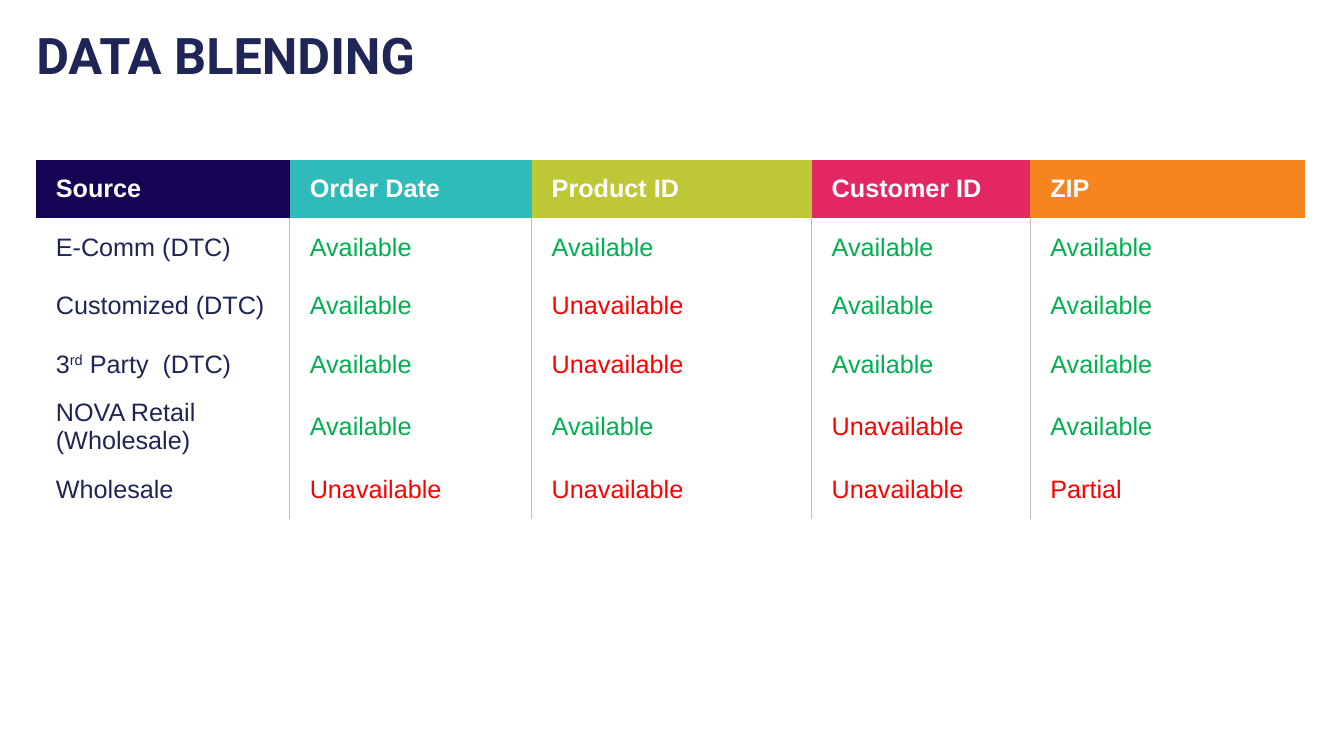
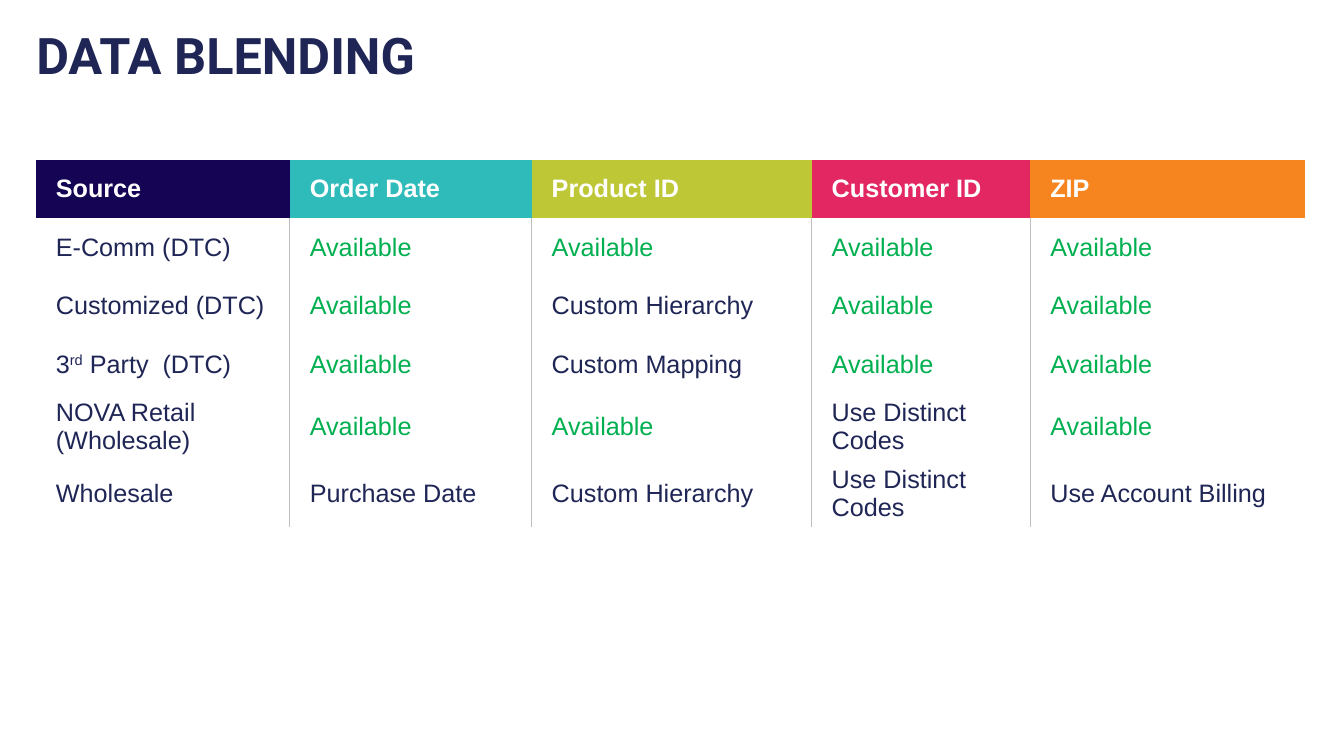
from lxml import etree
from pptx import Presentation
from pptx.dml.color import RGBColor
from pptx.enum.text import MSO_ANCHOR, MSO_AUTO_SIZE, PP_ALIGN
from pptx.oxml.ns import qn
from pptx.util import Pt

MIDDLE = MSO_ANCHOR.MIDDLE
LEFT = PP_ALIGN.LEFT
NO_AUTOFIT = MSO_AUTO_SIZE.NONE

TITLE_INK = RGBColor(0x1F, 0x25, 0x55)
INK = RGBColor(0x1F, 0x26, 0x56)
WHITE = RGBColor(0xFF, 0xFF, 0xFF)
NAVY = RGBColor(0x15, 0x04, 0x54)
TEAL = RGBColor(0x2E, 0xBB, 0xBA)
LIME = RGBColor(0xBE, 0xC7, 0x36)
PINK = RGBColor(0xE3, 0x27, 0x63)
ORANGE = RGBColor(0xF6, 0x85, 0x20)
GREEN = RGBColor(0x00, 0xB0, 0x50)
RED = RGBColor(0xFF, 0x00, 0x00)
RULE_GREY = RGBColor(0xBF, 0xBF, 0xBF)

STATUS_COLOURS = {"Available": GREEN, "Unavailable": RED, "Partial": RED}

# Heading, band colour, width in points
COLUMNS = [
    ("Source", NAVY, 181.4),
    ("Order Date", TEAL, 172.8),
    ("Product ID", LIME, 200),
    ("Customer ID", PINK, 156.2),
    ("ZIP", ORANGE, 196.4),
]
SOURCES = [
    "E-Comm (DTC)",
    "Customized (DTC)",
    ("3", "rd", " Party  (DTC)"),
    "NOVA Retail (Wholesale)",
    "Wholesale",
]
OK, MISSING = "Available", "Unavailable"
FIELD_GAPS = [
    [OK, OK, OK, OK],
    [OK, MISSING, OK, OK],
    [OK, MISSING, OK, OK],
    [OK, OK, MISSING, OK],
    [MISSING, MISSING, MISSING, "Partial"],
]
FIELD_FIXES = [
    [OK, OK, OK, OK],
    [OK, "Custom Hierarchy", OK, OK],
    [OK, "Custom Mapping", OK, OK],
    [OK, OK, "Use Distinct Codes", OK],
    ["Purchase Date", "Custom Hierarchy", "Use Distinct Codes",
     "Use Account Billing"],
]


def apply_format(target, values):
    for attribute, value in values.items():
        setattr(target, attribute, value)


class Deck:
    TITLE_FONT = {"name": "Roboto", "size": Pt(36), "bold": True}
    CELL_FONT = {"name": "Arial", "size": Pt(18)}
    TITLE_BOX = {"left": Pt(18.7), "top": Pt(18.7),
                 "width": Pt(799.2), "height": Pt(46)}
    TITLE_FRAME = {"vertical_anchor": MIDDLE, "word_wrap": True,
                   "auto_size": NO_AUTOFIT}
    TITLE_PARAGRAPH = {"alignment": LEFT, "line_spacing": 0.9}
    CELL_FORMAT = {"vertical_anchor": MIDDLE,
                   "margin_left": Pt(14.4), "margin_right": Pt(14.4),
                   "margin_top": Pt(3.6), "margin_bottom": Pt(3.6)}
    TABLE_LEFT, TABLE_TOP, ROW_HEIGHT = Pt(25.5), Pt(114), Pt(41.8)

    def __init__(self):
        self.presentation = Presentation()
        apply_format(self.presentation,
                     {"slide_width": Pt(960), "slide_height": Pt(540)})
        self.slide = None

    def add_slide(self, heading):
        layout = self.presentation.slide_layouts.get_by_name("Title Only")
        self.slide = self.presentation.slides.add_slide(layout)
        title = self.slide.shapes.title
        apply_format(title, self.TITLE_BOX)
        apply_format(title.text_frame, self.TITLE_FRAME)
        title.text_frame.text = heading
        paragraph = title.text_frame.paragraphs[0]
        apply_format(paragraph, self.TITLE_PARAGRAPH)
        apply_format(paragraph.font, self.TITLE_FONT)
        paragraph.font.color.rgb = TITLE_INK

    def add_source_table(self, field_rows):
        """Add the table of sources, given the cells right of each source."""
        widths = [Pt(width) for _, _, width in COLUMNS]
        body = [[source, *fields]
                for source, fields in zip(SOURCES, field_rows, strict=True)]
        row_count = len(body) + 1
        table = self.slide.shapes.add_table(
            row_count, len(COLUMNS), self.TABLE_LEFT, self.TABLE_TOP,
            sum(widths), self.ROW_HEIGHT * row_count).table
        table.horz_banding = False
        for column, width in zip(table.columns, widths):
            column.width = width
        for row in table.rows:
            row.height = self.ROW_HEIGHT

        for index, (heading, band, _) in enumerate(COLUMNS):
            self.fill_cell(table.cell(0, index), heading, WHITE, band, bold=True)
        last = len(COLUMNS) - 1
        for row_index, row in enumerate(body, start=1):
            for index, content in enumerate(row):
                ruled = {side for side, inner in
                         (("L", index > 0), ("R", index < last)) if inner}
                colour = STATUS_COLOURS.get(content, INK)
                self.fill_cell(table.cell(row_index, index), content, colour,
                               WHITE, ruled=ruled)

    def fill_cell(self, cell, content, colour, background, bold=False, ruled=()):
        """Write a cell; in a tuple, every second part is superscript."""
        apply_format(cell, self.CELL_FORMAT)
        self.set_borders(cell, ruled)
        cell.fill.solid()
        cell.fill.fore_color.rgb = background
        parts = (content,) if isinstance(content, str) else content
        paragraph = cell.text_frame.paragraphs[0]
        for index, part in enumerate(parts):
            run = paragraph.add_run()
            run.text = part
            apply_format(run.font, {**self.CELL_FONT, "bold": bold})
            run.font.color.rgb = colour
            if index % 2:
                run._r.get_or_add_rPr().set("baseline", "30000")

    @staticmethod
    def set_borders(cell, ruled):
        """Draw grey rules on the given sides and clear the others."""
        properties = cell._tc.get_or_add_tcPr()
        for side in "LRTB":
            line = etree.SubElement(properties, qn(f"a:ln{side}"))
            if side in ruled:
                line.set("w", str(Pt(1)))
                fill = etree.SubElement(line, qn("a:solidFill"))
                etree.SubElement(fill, qn("a:srgbClr"), val=str(RULE_GREY))
            else:
                etree.SubElement(line, qn("a:noFill"))


def main():
    deck = Deck()
    for field_rows in (FIELD_GAPS, FIELD_FIXES):
        deck.add_slide("DATA BLENDING")
        deck.add_source_table(field_rows)
    deck.presentation.save("out.pptx")


if __name__ == "__main__":
    main()
